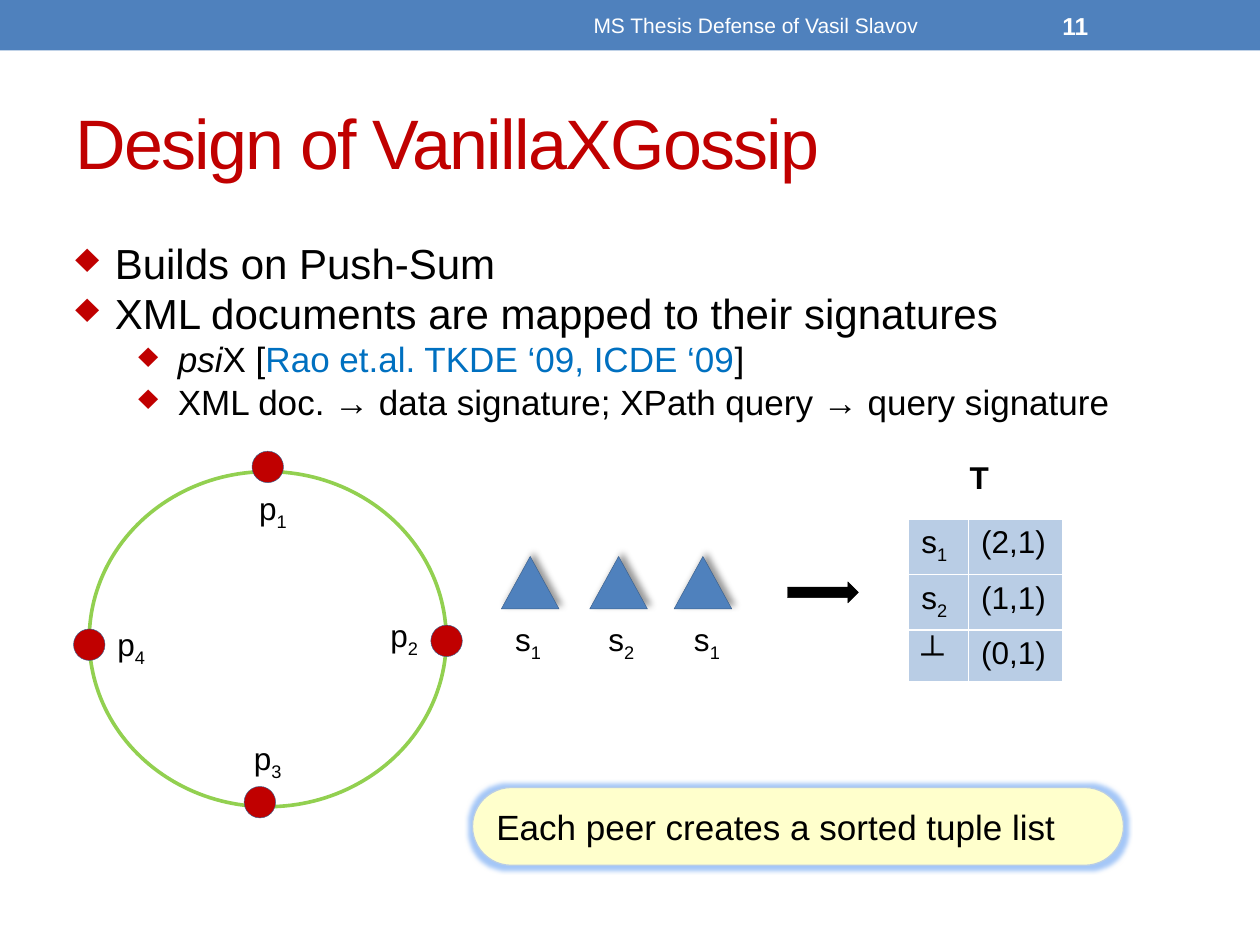
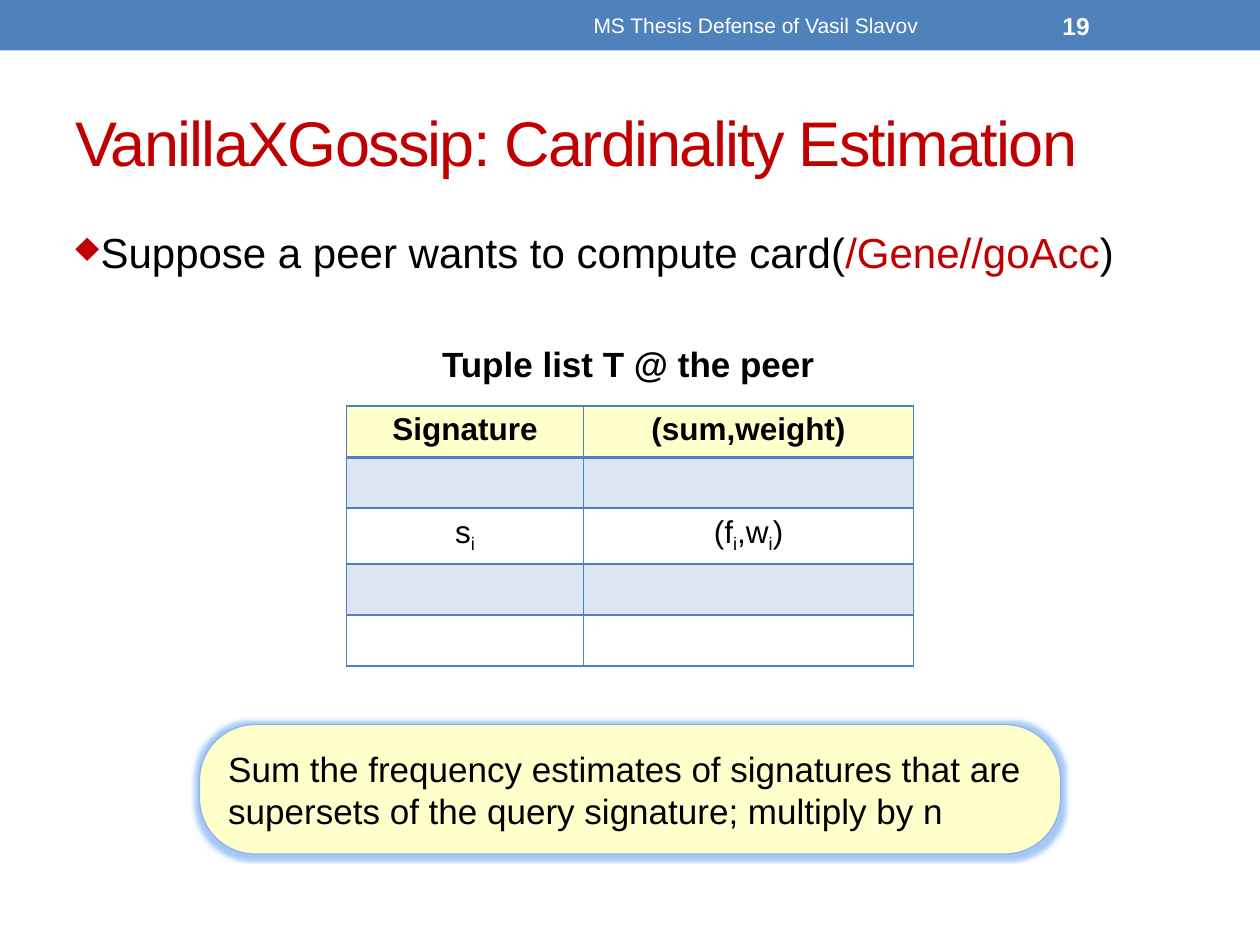
from lxml import etree
from pptx import Presentation
from pptx.dml.color import RGBColor
from pptx.enum import shapes, text
from pptx.oxml.ns import qn
from pptx.util import Pt

BLUE, RED, GREEN, BLACK, WHITE = "4F81BD", "C00000", "92D050", "000000", "FFFFFF"
CREAM, PALE, BAND, LINK, EDGE = "FFFFCC", "B9CDE5", "DCE6F2", "0070C0", "3A5F8C"
FONT = "Arial"
FOOTER = "MS Thesis Defense of Vasil Slavov"
KIND = shapes.MSO_SHAPE
MIDDLE = text.MSO_ANCHOR.MIDDLE
CENTER = text.PP_ALIGN.CENTER


def rgb(value):
    return RGBColor.from_string(value)


def child(parent, tag, **attributes):
    """Append a drawing element with the given attributes."""
    element = etree.SubElement(parent, qn("a:" + tag))
    for name, value in attributes.items():
        element.set(name, str(value))
    return element


def solid(parent, color, alpha=None):
    tone = child(parent, "srgbClr", val=color)
    if alpha is not None:
        child(tone, "alpha", val=alpha * 1000)


class Deck:
    def __init__(self):
        self.prs = Presentation()
        self.prs.slide_width, self.prs.slide_height = Pt(720), Pt(540)
        self.slide = None

    # Slide frame: band, footer, number and title
    def start(self, number, title, size):
        self.slide = self.prs.slides.add_slide(self.prs.slide_layouts[6])
        self.shape(KIND.RECTANGLE, (0, 0, 720, 28.8), BLUE)
        self.label((270, 1.5, 324, 26), FOOTER, align=CENTER, anchor=MIDDLE,
                   size=12, color=WHITE)
        self.label((600, 1.5, 84, 26), number, anchor=MIDDLE,
                   size=14, color=WHITE, bold=True)
        self.label((36, 42, 648, 78), title, anchor=MIDDLE,
                   size=size, color=RED, spacing=-1)

    # Text: an underscore lowers the character that follows it
    def add_text(self, paragraph, content, size=18, color=BLACK, bold=False,
                 italic=False, spacing=0):
        for index, part in enumerate(content.split("_")):
            pieces = [(part, False)] if index == 0 else [(part[0], True), (part[1:], False)]
            for piece, lowered in pieces:
                if not piece:
                    continue
                run = paragraph.add_run()
                run.text = piece
                formats = {"name": FONT, "size": Pt(size), "bold": bold, "italic": italic}
                for name, value in formats.items():
                    setattr(run.font, name, value)
                run.font.color.rgb = rgb(color)
                props = run._r.get_or_add_rPr()
                if lowered:
                    props.set("baseline", "-25000")
                if spacing:
                    props.set("spc", str(spacing * 100))

    def frame(self, box, wrap=True, anchor=text.MSO_ANCHOR.TOP):
        frame = self.slide.shapes.add_textbox(*map(Pt, box)).text_frame
        for name, value in {"word_wrap": wrap, "vertical_anchor": anchor}.items():
            setattr(frame, name, value)
        return frame

    def label(self, box, content, wrap=True, anchor=text.MSO_ANCHOR.TOP,
              align=text.PP_ALIGN.LEFT, **style):
        paragraph = self.frame(box, wrap, anchor).paragraphs[0]
        paragraph.alignment = align
        self.add_text(paragraph, content, **style)

    def bullets(self, box, items):
        """Each item: left margin, hanging indent, level, size, runs."""
        frame = self.frame(box)
        for index, (margin, hang, level, size, runs) in enumerate(items):
            paragraph = frame.add_paragraph() if index else frame.paragraphs[0]
            paragraph.level = level
            props = paragraph._p.get_or_add_pPr()
            props.set("marL", str(Pt(margin)))
            props.set("indent", str(-Pt(hang)))
            solid(child(props, "buClr"), RED)
            child(props, "buChar", char="♦")
            for content, style in runs:
                self.add_text(paragraph, content, size=size, **style)

    # Shapes
    def shape(self, kind, box, fill=None, line=None, width=0.25):
        shape = self.slide.shapes.add_shape(kind, *map(Pt, box))
        shape.shadow.inherit = False
        if fill:
            shape.fill.solid()
            shape.fill.fore_color.rgb = rgb(fill)
        else:
            shape.fill.background()
        if line:
            shape.line.color.rgb = rgb(line)
            shape.line.width = Pt(width)
        else:
            shape.line.fill.background()
        return shape

    def effect(self, shape, tag, color, alpha, **attributes):
        effects = shape._element.spPr.find(qn("a:effectLst"))
        solid(child(effects, tag, **attributes), color, alpha)

    def document(self, left, top):
        triangle = self.shape(KIND.ISOSCELES_TRIANGLE, (left, top, 33, 30), BLUE, EDGE)
        self.effect(triangle, "outerShdw", BLACK, 40, blurRad=Pt(4), dist=Pt(3),
                    dir=315 * 60000, algn="ctr", rotWithShape=0)

    def callout(self, box, content, roundness, line):
        shape = self.shape(KIND.ROUNDED_RECTANGLE, box, CREAM, line, 0.75)
        shape.adjustments[0] = roundness
        self.effect(shape, "glow", "8EB9F5", 80, rad=Pt(5))
        frame = shape.text_frame
        frame.word_wrap, frame.vertical_anchor = True, MIDDLE
        frame.paragraphs[0].alignment = text.PP_ALIGN.LEFT
        self.add_text(frame.paragraphs[0], content, size=20)

    # Tables
    def table(self, left, top, widths, height, rows, fills, border,
              header=False, inset=7.2, align=text.PP_ALIGN.LEFT):
        table = self.slide.shapes.add_table(
            len(rows), len(widths), Pt(left), Pt(top),
            Pt(sum(widths)), Pt(height * len(rows))).table
        table.first_row, table.horz_banding = header, False
        for column, width in zip(table.columns, widths):
            column.width = Pt(width)
        for r, (row, fill) in enumerate(zip(rows, fills)):
            table.rows[r].height = Pt(height)
            for c, content in enumerate(row):
                cell = table.cell(r, c)
                cell.margin_left = cell.margin_right = Pt(inset)
                heavy = {0: "lnB", 1: "lnT"}.get(r) if header else None
                self.borders(cell, border, heavy)
                if fill:
                    cell.fill.solid()
                    cell.fill.fore_color.rgb = rgb(fill)
                else:
                    cell.fill.background()
                paragraph = cell.text_frame.paragraphs[0]
                paragraph.alignment = align
                self.add_text(paragraph, content, bold=header and r == 0)

    def borders(self, cell, color, heavy):
        props = cell._tc.get_or_add_tcPr()
        for side in ("lnL", "lnR", "lnT", "lnB"):
            line = child(props, side, w=Pt(2 if side == heavy else 1))
            solid(child(line, "solidFill"), color)


def design_slide(deck):
    deck.start("11", "Design of VanillaXGossip", 40)

    # Ring of peers: centre of each node, then corner of its label
    deck.shape(KIND.OVAL, (51, 269.5, 204, 191.5), line=GREEN, width=2.08)
    peers = [((153, 266.8), (141, 276)), ((255.2, 366.2), (216, 348.5)),
             ((148.5, 458.4), (138, 419)), ((51, 368.4), (60, 353.5))]
    for number, ((x, y), corner) in enumerate(peers, 1):
        deck.shape(KIND.OVAL, (x - 9, y - 9, 18, 18), RED, EDGE)
        deck.label((*corner, 31.5, 29), f"p_{number}", wrap=False)

    # Documents and their signatures
    signatures = [(286.5, 287.3, "s_1"), (337, 340.6, "s_2"), (385.2, 389.5, "s_1")]
    for left, label_left, signature in signatures:
        deck.document(left, 318)
        deck.label((label_left, 351, 30, 29), signature, wrap=False)

    # Tuple list
    deck.shape(KIND.RIGHT_ARROW, (450, 332.5, 40.5, 12), BLACK, BLACK)
    deck.label((547, 258, 26, 29), "T", wrap=False, bold=True)
    tuples = [("s_1", "(2,1)"), ("s_2", "(1,1)"), ("┴", "(0,1)")]
    deck.table(519.25, 296.5, (34.25, 53.75), 29.5, tuples, [PALE] * 3, WHITE)

    # Main points
    top, sub = (22.5, 22.5, 0, 24), (58.5, 22.5, 1, 20)
    deck.bullets((36, 132, 630, 114), [
        (*top, [("Builds on Push-Sum", {})]),
        (*top, [("XML documents are mapped to their signatures", {})]),
        (*sub, [("psi", {"italic": True}), ("X [", {}),
                ("Rao et.al. TKDE ‘09, ICDE ‘09", {"color": LINK}), ("]", {})]),
        (*sub, [("XML doc. → data signature; XPath query → query signature", {})]),
    ])
    deck.callout((270, 450, 372, 44.5), "Each peer creates a sorted tuple list", 0.5, PALE)


def estimation_slide(deck):
    deck.start("19", "VanillaXGossip: Cardinality Estimation", 36)
    deck.bullets((36, 126, 648, 384), [
        (14.4, 14.4, 0, 24, [("Suppose a peer wants to compute card(", {}),
                             ("/Gene//goAcc", {"color": RED}), (")", {})]),
    ])

    # Tuple list at the peer
    deck.label((245.5, 192, 229, 31.5), "Tuple list T @ the peer",
               wrap=False, size=20, bold=True)
    empty = ("", "")
    tuples = [("Signature", "(sum,weight)"), empty, ("s_i", "(f_i,w_i)"), empty, empty]
    deck.table(198, 232, (135.5, 188.5), 29.2, tuples, [CREAM, BAND, None, BAND, None],
               BLUE, header=True, inset=18, align=CENTER)

    deck.callout((114, 414, 492, 74), "Sum the frequency estimates of signatures that are "
                 "supersets of the query signature; multiply by n", 0.43, "8EB4E3")


def main():
    deck = Deck()
    design_slide(deck)
    estimation_slide(deck)
    deck.prs.save("out.pptx")


if __name__ == "__main__":
    main()
